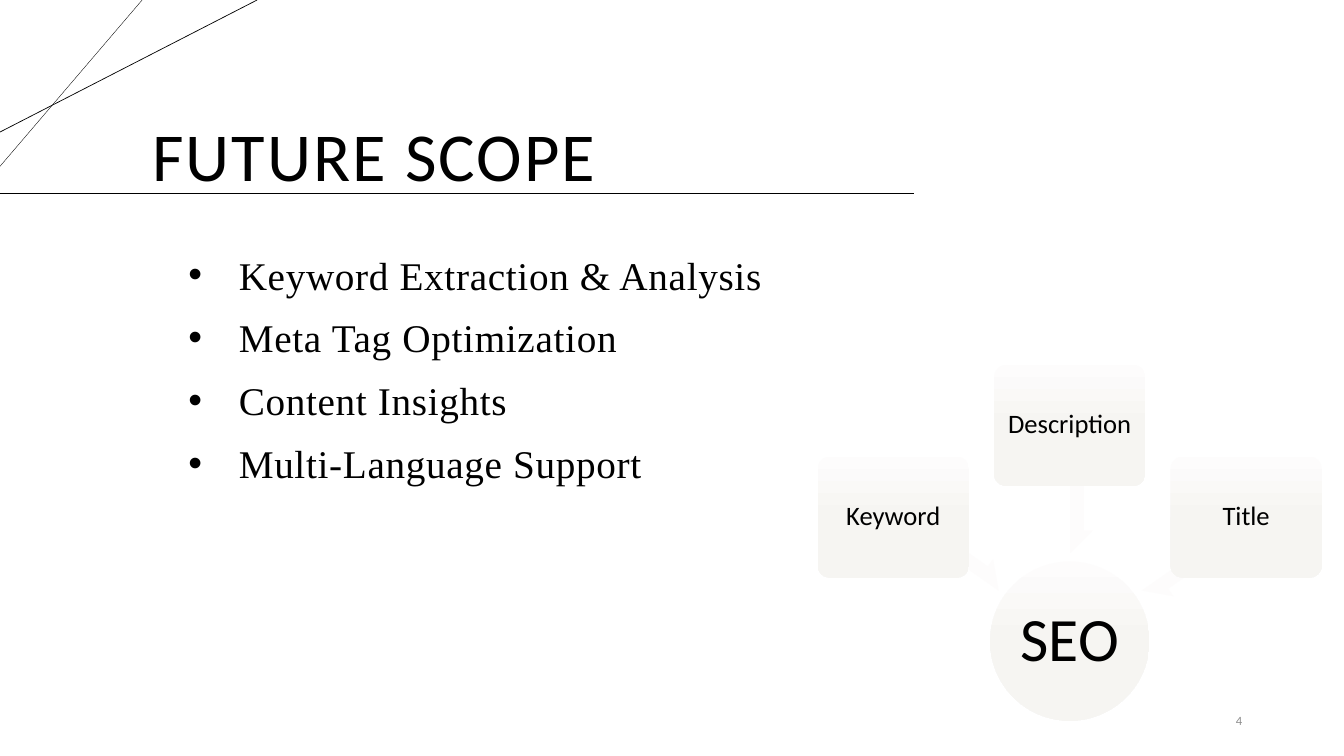
from lxml.etree import SubElement
from pptx import Presentation
from pptx.dml.color import RGBColor
from pptx.enum.shapes import MSO_CONNECTOR, MSO_SHAPE
from pptx.enum.text import MSO_ANCHOR, PP_ALIGN
from pptx.oxml.ns import qn
from pptx.util import Emu, Pt

EMU_PER_PX = 9144
BLACK = "000000"
GRAY = "8C8C8C"
NODE_STOPS = [(0, "FDFCFC"), (50, "F6F5F2"), (100, "F5F3F0")]
ARROW_STOPS = [(0, "FFFFFF"), (50, "FDFCFC"), (100, "FDFCFB")]
TOPICS = [
    "Keyword Extraction & Analysis",
    "Meta Tag Optimization",
    "Content Insights",
    "Multi-Language Support",
]
SOURCES = [("Keyword", 453, 527), ("Description", 362, 463), ("Title", 453, 527)]


def px(length):
    return Emu(length * EMU_PER_PX)


def color(hex_string):
    return RGBColor.from_string(hex_string)


def format_paragraph(paragraph, size, font_name="Calibri", font_color=BLACK, tracking=0):
    for run in paragraph.runs:
        run.font.size = Pt(size)
        run.font.name = font_name
        run.font.color.rgb = color(font_color)
        if tracking:
            run.font._element.set("spc", str(tracking))


def set_margins(text_frame, left, top, right, bottom):
    text_frame.margin_left = px(left)
    text_frame.margin_top = px(top)
    text_frame.margin_right = px(right)
    text_frame.margin_bottom = px(bottom)


def add_text(slide, text, left, top, width, height):
    text_frame = slide.shapes.add_textbox(px(left), px(top), px(width), px(height)).text_frame
    text_frame.word_wrap = True
    text_frame.text = text
    text_frame.vertical_anchor = MSO_ANCHOR.MIDDLE
    return text_frame


def add_title(slide):
    paragraph = add_text(slide, "FUTURE SCOPE", 141, 53, 707, 210).paragraphs[0]
    paragraph.line_spacing = 0.9
    format_paragraph(paragraph, 49, tracking=150)


def add_topics(slide):
    text_frame = add_text(slide, "\n".join(TOPICS), 177, 247, 634, 250)
    text_frame.vertical_anchor = MSO_ANCHOR.TOP
    set_margins(text_frame, 10, 0, 10, 5)
    for paragraph in text_frame.paragraphs:
        paragraph.space_before = Pt(10)
        paragraph.line_spacing = 1.04
        format_paragraph(paragraph, 28, "Times New Roman", tracking=50)
        properties = paragraph._p.get_or_add_pPr()
        properties.set("marL", str(px(50)))
        properties.set("indent", str(px(-50)))
        SubElement(properties, qn("a:buFont")).set("typeface", "Arial")
        SubElement(properties, qn("a:buChar")).set("char", "•")


def add_page_number(slide):
    paragraph = add_text(slide, "4", 1134, 695, 108, 40).paragraphs[0]
    paragraph.alignment = PP_ALIGN.RIGHT
    format_paragraph(paragraph, 9, font_color=GRAY)


def add_line(slide, start_x, start_y, end_x, end_y, width):
    line = slide.shapes.add_connector(
        MSO_CONNECTOR.STRAIGHT, px(start_x), px(start_y), px(end_x), px(end_y)
    )
    line.line.color.rgb = color(BLACK)
    line.line.width = Pt(width)
    SubElement(line._element.spPr, qn("a:effectLst"))


def add_gradient_shape(slide, kind, left, top, width, height, stops):
    shape = slide.shapes.add_shape(kind, px(left), px(top), px(width), px(height))
    shape.shadow.inherit = False
    shape.line.fill.background()
    shape.fill.gradient()
    shape.fill.gradient_angle = 270
    stop_list = next(shape._element.spPr.iter(qn("a:gsLst")))
    for stop in list(stop_list):
        stop_list.remove(stop)
    for position, hex_string in stops:
        stop = SubElement(stop_list, qn("a:gs"))
        stop.set("pos", str(position * 1000))
        SubElement(stop, qn("a:srgbClr")).set("val", hex_string)
    return shape


def add_node(slide, kind, text, left, top, width, height, size):
    shape = add_gradient_shape(slide, kind, left, top, width, height, NODE_STOPS)
    text_frame = shape.text_frame
    text_frame.text = text
    text_frame.word_wrap = True
    text_frame.vertical_anchor = MSO_ANCHOR.MIDDLE
    set_margins(text_frame, 3, 3, 3, 3)
    paragraph = text_frame.paragraphs[0]
    paragraph.alignment = PP_ALIGN.CENTER
    paragraph.line_spacing = 0.9
    format_paragraph(paragraph, size)
    return shape


def add_arrow(slide, left, top, rotation):
    arrow = add_gradient_shape(slide, MSO_SHAPE.LEFT_ARROW, left, top, 127, 45, ARROW_STOPS)
    arrow.adjustments[0] = 0.6
    arrow.adjustments[1] = 0.5
    arrow.rotation = rotation


def add_seo_diagram(slide):
    add_node(slide, MSO_SHAPE.OVAL, "SEO", 982, 557, 158, 158, 44)
    for index, (label, box_top, arrow_top) in enumerate(SOURCES):
        add_arrow(slide, 875 + 123 * index, arrow_top, 215 + 55 * index)
        box = add_node(
            slide, MSO_SHAPE.ROUNDED_RECTANGLE, label, 811 + 175 * index, box_top, 150, 120, 19
        )
        box.adjustments[0] = 0.1


def main():
    presentation = Presentation()
    presentation.slide_width = px(1333)
    presentation.slide_height = px(750)
    slide = presentation.slides.add_slide(presentation.slide_layouts[6])
    add_line(slide, 141, 0, 0, 165, 0.25)
    add_line(slide, 255, 0, 0, 131, 0.5)
    add_title(slide)
    add_topics(slide)
    add_page_number(slide)
    add_line(slide, 0, 192, 907, 192, 0.5)
    add_seo_diagram(slide)
    presentation.save("out.pptx")


if __name__ == "__main__":
    main()
